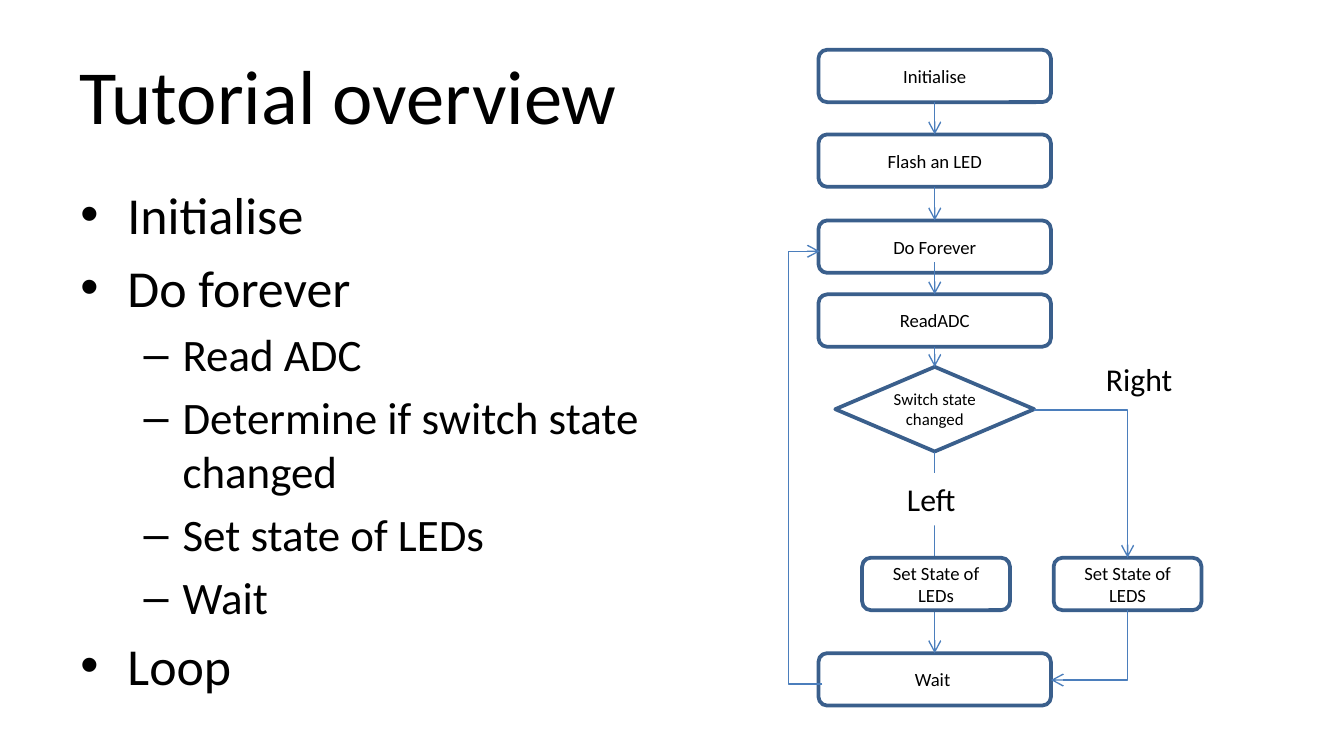
from lxml import etree
from pptx import Presentation
from pptx.dml.color import RGBColor
from pptx.enum import shapes, text
from pptx.oxml import ns
from pptx.util import Inches, Pt

HUES = {"ink": "000000", "paper": "FFFFFF", "edge": "3A5F8C", "link": "4B7EBC"}
FACE = "Calibri"
KIND = shapes.MSO_SHAPE
JOIN = shapes.MSO_CONNECTOR
MID = text.MSO_ANCHOR.MIDDLE
TOP, LOW = 0, 2


def hue(name):
    return RGBColor.from_string(HUES[name])


def apply(item, form):
    for key, value in form.items():
        setattr(item, key, value)


def write(para, words, size):
    run = para.add_run()
    run.text = words
    apply(run.font, {"name": FACE, "size": Pt(size)})
    run.font.color.rgb = hue("ink")


def label(slide, box, words, size, form):
    left, top, width, height = (Inches(n) for n in box)
    shape = slide.shapes.add_textbox(left, top, width, height)
    apply(shape.text_frame, form)
    write(shape.text_frame.paragraphs[0], words, size)
    return shape


def bullet(para, words, deep):
    size, left, hang, mark = (24.1, 0.76, 0.29, "–") if deep else (27.8, 0.35, 0.35, "•")
    apply(para, {"level": int(deep), "space_before": Pt(size * 0.2)})
    write(para, words, size)
    props = para._p.get_or_add_pPr()
    props.set("marL", str(Inches(left)))
    props.set("indent", str(-Inches(hang)))
    etree.SubElement(props, ns.qn("a:buFont")).set("typeface", "Arial")
    etree.SubElement(props, ns.qn("a:buChar")).set("char", mark)


def outline(slide, box, items):
    left, top, width, height = (Inches(n) for n in box)
    frame = slide.shapes.add_textbox(left, top, width, height).text_frame
    frame.word_wrap = True
    for spot, (words, deep) in enumerate(items):
        para = frame.add_paragraph() if spot else frame.paragraphs[0]
        bullet(para, words, deep)


def node(slide, box, words, kind=KIND.FLOWCHART_ALTERNATE_PROCESS, size=10, pad=0.1):
    left, top, width, height = (Inches(n) for n in box)
    shape = slide.shapes.add_shape(kind, left, top, width, height)
    shape.shadow.inherit = False
    shape.fill.solid()
    shape.fill.fore_color.rgb = hue("paper")
    shape.line.color.rgb = hue("edge")
    shape.line.width = Pt(2)
    frame = shape.text_frame
    apply(frame, {"word_wrap": True, "vertical_anchor": MID,
                  "margin_left": Inches(pad), "margin_right": Inches(pad),
                  "margin_top": Inches(pad / 2), "margin_bottom": Inches(pad / 2)})
    para = frame.paragraphs[0]
    para.alignment = text.PP_ALIGN.CENTER
    write(para, words, size)
    return shape


def link(slide, start, stop, kind=JOIN.STRAIGHT, tip="tailEnd"):
    ends = [Inches(n) for n in (*start, *stop)]
    line = slide.shapes.add_connector(kind, *ends)
    line.line.color.rgb = hue("link")
    line.line.width = Pt(0.75)
    etree.SubElement(line.line._get_or_add_ln(), ns.qn(f"a:{tip}")).set("type", "arrow")
    etree.SubElement(line._element.spPr, ns.qn("a:effectLst"))
    return line


def bend(slide, start, stop, tip="tailEnd", shift=None):
    line = link(slide, start, stop, JOIN.ELBOW, tip)
    geom = line._element.spPr.find(ns.qn("a:prstGeom"))
    if shift is None:
        geom.set("prst", "bentConnector2")
        return
    guides = geom.find(ns.qn("a:avLst"))
    if guides is None:
        guides = etree.SubElement(geom, ns.qn("a:avLst"))
    guide = etree.SubElement(guides, ns.qn("a:gd"))
    guide.set("name", "adj1")
    guide.set("fmla", f"val {round(shift * 100000)}")


def flow(slide, box):
    left, top, width, height = box
    high, wide, small = 0.39, 1.73, 1.1
    edge = left + 0.22
    mid = edge + wide / 2
    right = edge + wide
    far = left + 2.52
    floor = top + height - high
    pair = top + 3.78
    core = top + 2.68

    steps = [("Initialise", 0), ("Flash an LED", 0.63), ("Do Forever", 1.27), ("ReadADC", 1.82)]
    first, flash, loop, read = [
        node(slide, (edge, top + drop, wide, high), words) for words, drop in steps]
    wait = node(slide, (edge, floor, wide, high), "Wait ")
    test = node(slide, (mid - 0.74, top + 2.36, 1.48, 0.63), "Switch state changed",
                KIND.FLOWCHART_DECISION, 9, 0)
    node(slide, (far - small / 2, pair, small, high), "Set State of LEDS")

    for one, two in [(first, flash), (flash, loop), (read, test), (test, wait)]:
        line = link(slide, (mid, top), (mid, floor))
        line.begin_connect(one, LOW)
        line.end_connect(two, TOP)
    link(slide, (mid, top + 1.58), (mid, top + 1.82)).end_connect(read, TOP)

    bend(slide, (mid + 0.74, core), (far, pair))
    bend(slide, (right, floor + 0.2), (far, pair + high), "headEnd")
    gap = 0.02
    bend(slide, (edge + 0.03, floor + 0.23), (edge + 0.03 - gap, top + 1.5), shift=0.25 / gap)

    node(slide, (mid - 0.54, pair, small, high), "Set State of LEDs")
    for words, place in [("Left", (left + 0.78, top + 3.15, 0.57, high)),
                         ("Right", (left + 2.26, top + 2.26, 0.7, high))]:
        shape = label(slide, place, words, 17, {"word_wrap": False})
        shape.fill.solid()
        shape.fill.fore_color.rgb = hue("paper")


def main():
    deck = Presentation()
    apply(deck, {"slide_width": Inches(10), "slide_height": Inches(10) * 9 // 16})
    slide = deck.slides.add_slide(deck.slide_layouts[6])
    label(slide, (0.5, 0.23, 9, 0.94), "Tutorial overview", 41,
          {"word_wrap": True, "vertical_anchor": MID,
           "margin_left": Inches(0.09), "margin_right": Inches(0.09)})
    outline(slide, (0.5, 1.31, 5.21, 3.71), [
        ("Initialise", False), ("Do forever", False), ("Read ADC", True),
        ("Determine if switch state changed", True), ("Set state of LEDs", True),
        ("Wait", True), ("Loop", False)])
    flow(slide, (5.87, 0.37, 3.06, 4.88))
    deck.save("out.pptx")


if __name__ == "__main__":
    main()
